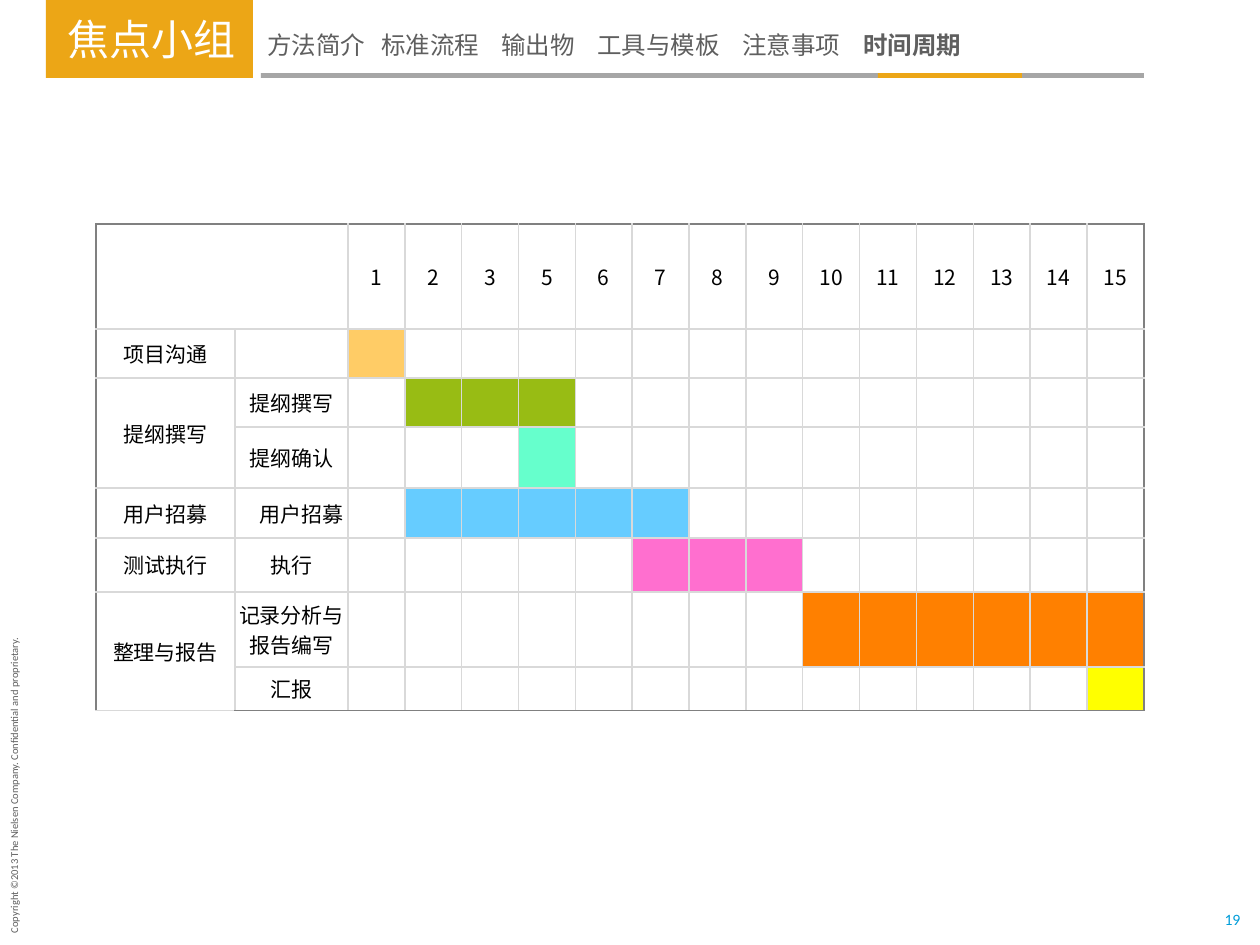
from lxml import etree
from pptx import Presentation
from pptx.dml.color import RGBColor
from pptx.enum.shapes import MSO_SHAPE
from pptx.enum.text import MSO_ANCHOR, PP_ALIGN
from pptx.oxml.ns import qn
from pptx.util import Pt

RECTANGLE = MSO_SHAPE.RECTANGLE
MIDDLE = MSO_ANCHOR.MIDDLE
CENTER = PP_ALIGN.CENTER
LEFT = PP_ALIGN.LEFT

EMU_PER_PX = 914400 / 126
LATIN = "Calibri"
CHINESE = "Noto Sans CJK SC"
COLORS = {
    "accent": "ECA616", "rule": "A6A6A6", "muted": "5F5F5F", "page": "009DD9",
    "white": "FFFFFF", "black": "000000", "grid": "D9D9D9", "frame": "808080",
    "kickoff": "FFCC66", "outline": "98BC14", "confirm": "66FFCC",
    "recruit": "66CCFF", "fieldwork": "FF6FCF", "report": "FF8000",
    "present": "FFFF00",
}

SECTIONS = ["方法简介", "标准流程", "输出物", "工具与模板", "注意事项"]
CURRENT_SECTION = "时间周期"
SECTION_STOPS = [114, 234, 330, 475, 596]

DAYS = [1, 2, 3, 5, 6, 7, 8, 9, 10, 11, 12, 13, 14, 15]
LABEL_WIDTHS = [139, 113]
HEADER_HEIGHT = 105
TASKS = [
    ("项目沟通", "", 49, 1, 1, "kickoff"),
    ("提纲撰写", "提纲撰写", 49, 2, 5, "outline"),
    ("", "提纲确认", 61, 5, 5, "confirm"),
    ("用户招募", "用户招募", 50, 2, 7, "recruit"),
    ("测试执行", "执行", 54, 7, 9, "fieldwork"),
    ("整理与报告", "记录分析与报告编写", 75, 10, 15, "report"),
    ("", "汇报", 44, 15, 15, "present"),
]
INDENTED_TASK = 4
MERGES = [(0, 0, 0, 1), (2, 0, 3, 0), (6, 0, 7, 0)]


def px(length):
    return round(length * EMU_PER_PX)


def rgb(color):
    return RGBColor.from_string(COLORS[color])


def style(paragraph, size, font, color, align=LEFT):
    paragraph.alignment = align
    for run in paragraph.runs:
        run.font.size = Pt(size)
        run.font.name = font
        run.font.color.rgb = rgb(color)
        etree.SubElement(run._r.get_or_add_rPr(), qn("a:ea"), typeface=font)


def add_block(slide, left, top, width, height, color):
    block = slide.shapes.add_shape(
        RECTANGLE, px(left), px(top), px(width), px(height))
    block.shadow.inherit = False
    block.fill.solid()
    block.fill.fore_color.rgb = rgb(color)
    block.line.fill.background()
    return block


def add_label(slide, left, top, width, height, wrap):
    label = slide.shapes.add_textbox(px(left), px(top), px(width), px(height))
    label.text_frame.word_wrap = wrap
    return label


def draw_header(slide, left, top, width, height):
    title = add_block(slide, left, top, 207, height, "accent").text_frame
    title.text = "焦点小组"
    title.margin_left = px(22)
    title.margin_right = 0
    title.vertical_anchor = MIDDLE
    style(title.paragraphs[0], 24, CHINESE, "white")

    rule_top = top + height - 5
    add_block(slide, left + 215, rule_top, width - 215, 5, "rule")
    add_block(slide, left + 832, rule_top, 144, 5, "accent")

    menu = add_label(slide, left + 209, top + 24, 872, 43, True)
    entries = menu.text_frame.paragraphs[0]
    entries.text = "\t".join(SECTIONS) + "\t"
    stops = etree.SubElement(entries._p.get_or_add_pPr(), qn("a:tabLst"))
    for stop in SECTION_STOPS:
        etree.SubElement(stops, qn("a:tab"), pos=str(px(stop)), algn="l")
    current = entries.add_run()
    current.text = CURRENT_SECTION
    current.font.bold = True
    style(entries, 14, CHINESE, "muted")


def set_borders(cell, edges):
    properties = cell._tc.get_or_add_tcPr()
    for side, color in edges.items():
        line = etree.SubElement(properties, qn("a:ln" + side), w=str(Pt(1)))
        fill = etree.SubElement(line, qn("a:solidFill"))
        etree.SubElement(fill, qn("a:srgbClr"), val=COLORS[color])


def set_cell(cell, words, color, edges):
    cell.margin_left = cell.margin_right = 0
    cell.margin_top = cell.margin_bottom = 0
    cell.vertical_anchor = MIDDLE
    cell.text_frame.text = words
    style(cell.text_frame.paragraphs[0], 12, CHINESE, "black", CENTER)
    set_borders(cell, edges)
    if color:
        cell.fill.solid()
        cell.fill.fore_color.rgb = rgb(color)
    else:
        cell.fill.background()


def draw_schedule(slide, left, top, width, height):
    row_heights = [HEADER_HEIGHT] + [task[2] for task in TASKS]
    day_width = (width - sum(LABEL_WIDTHS)) / len(DAYS)
    column_widths = LABEL_WIDTHS + [day_width] * len(DAYS)
    schedule = slide.shapes.add_table(
        len(row_heights), len(column_widths),
        px(left), px(top), px(width), px(height)).table
    schedule.first_row = False
    schedule.horz_banding = False
    for column, column_width in zip(schedule.columns, column_widths):
        column.width = px(column_width)
    for row, row_height in zip(schedule.rows, row_heights):
        row.height = px(row_height)

    rows = [[("", None)] * 2 + [(str(day), None) for day in DAYS]]
    for phase, step, _, start, end, color in TASKS:
        bar = [("", color if start <= day <= end else None) for day in DAYS]
        rows.append([(phase, None), (step, None)] + bar)

    last_row, last_column = len(row_heights) - 1, len(column_widths) - 1
    for r, row in enumerate(rows):
        for c, (words, color) in enumerate(row):
            edges = {
                "L": "frame" if c == 0 else "grid",
                "R": "frame" if c == last_column else "grid",
                "T": "frame" if r == 0 else "grid",
                "B": "frame" if r == last_row else "grid",
            }
            set_cell(schedule.cell(r, c), words, color, edges)
    schedule.cell(INDENTED_TASK, 1).margin_left = px(21)
    for first_row, first_column, end_row, end_column in MERGES:
        schedule.cell(first_row, first_column).merge(
            schedule.cell(end_row, end_column))


def draw_copyright(slide, left, top, width, height):
    notice = add_label(slide, left, top, width, height, False)
    notice.rotation = 270
    notice.text_frame.text = (
        "Copyright ©2013 The Nielsen Company. Confidential and proprietary.")
    style(notice.text_frame.paragraphs[0], 6, LATIN, "muted")


def draw_page_number(slide, left, top, width, height):
    number = add_label(slide, left, top, width, height, False).text_frame
    number.margin_left = number.margin_right = 0
    number.margin_top = number.margin_bottom = 0
    number.vertical_anchor = MIDDLE
    number.text = "19"
    style(number.paragraphs[0], 9, LATIN, "page", CENTER)


def main():
    deck = Presentation()
    deck.slide_width = px(1260)
    deck.slide_height = px(945)
    slide = deck.slides.add_slide(deck.slide_layouts[6])
    draw_copyright(slide, -149, 770, 326, 25)
    draw_page_number(slide, 1223, 910, 19, 19)
    draw_header(slide, 46, 0, 1098, 78)
    draw_schedule(slide, 96, 224, 1048, 487)
    deck.save("out.pptx")


if __name__ == "__main__":
    main()
